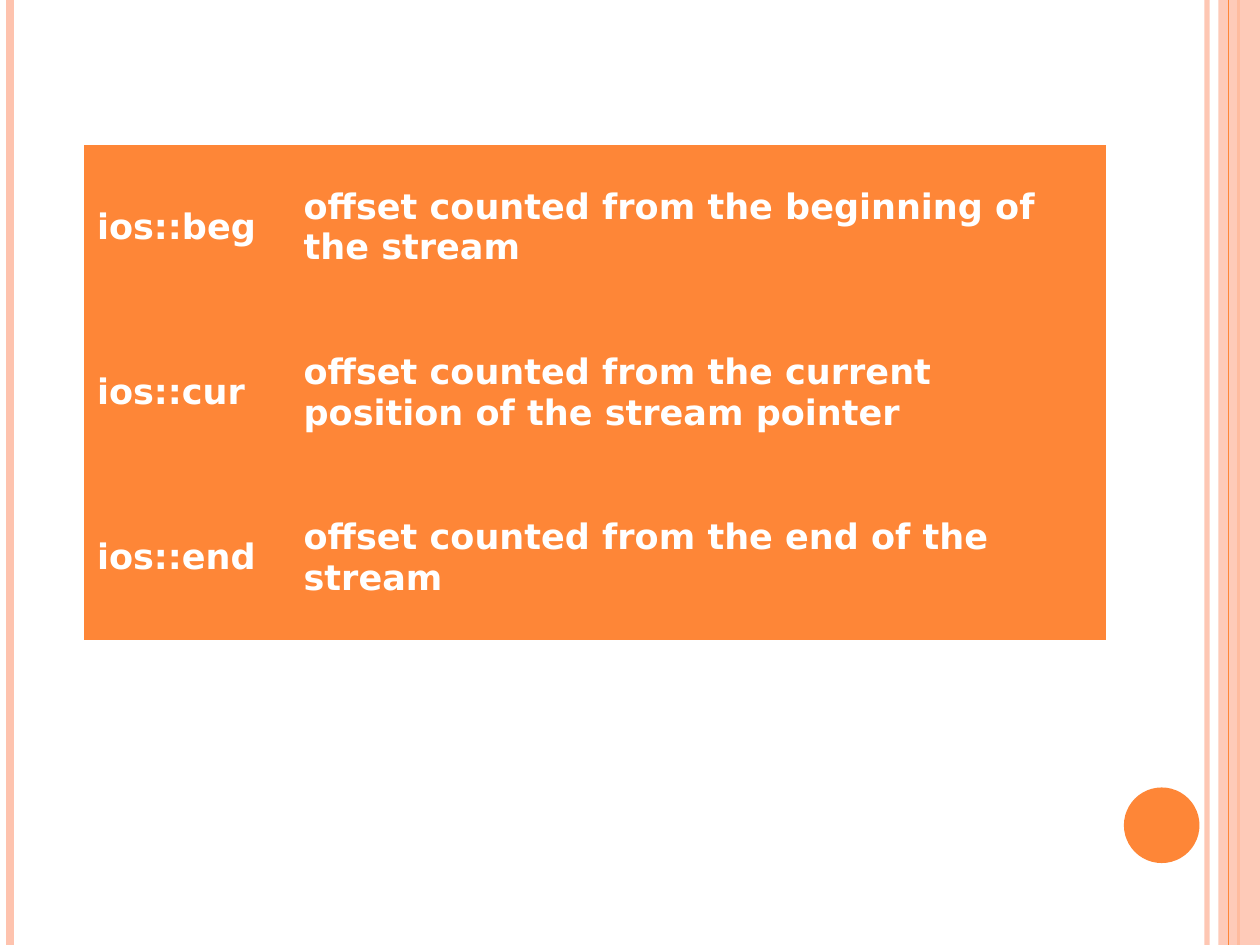
import pptx
import pptx.dml.color
import pptx.enum.shapes
import pptx.enum.text
import pptx.oxml.ns
import pptx.util
from lxml import etree
from pptx.util import Inches

SEEK_ORIGINS = [
    ("ios::beg", "offset counted from the beginning of the stream"),
    ("ios::cur", "offset counted from the current position of the stream pointer"),
    ("ios::end", "offset counted from the end of the stream"),
]
THEME = {"accent": "FE8637", "pale": "FEC3AE", "text": "FFFFFF",
         "font": "DejaVu Sans", "size": 20}
# Vertical rules: x, colour, width in points, opacity in percent
RULES_BEHIND = [(9.58, "pale", 3, 93), (0.08, "pale", 4.5, 100),
                (9.83, "accent", 1.5, 100)]
RULES_IN_FRONT = [(9.75, "accent", 0.75, 100)]
SLIDE_WIDTH, SLIDE_HEIGHT = 10, 7.5
COLUMN_WIDTHS = (1.64, 6.47)
ROW_HEIGHT = 1.31


def color(name):
    """Return a theme colour."""
    return pptx.dml.color.RGBColor.from_string(THEME[name])


def add_child(parent, tag, **attributes):
    """Append a DrawingML element."""
    return etree.SubElement(parent, pptx.oxml.ns.qn(tag), **attributes)


def set_opacity(shape, percent):
    """Make the colour of a shape or line translucent."""
    if percent < 100:
        for paint in shape._element.spPr.iter(pptx.oxml.ns.qn("a:srgbClr")):
            add_child(paint, "a:alpha", val=str(percent * 1000))


def add_rule(slide, x, color_name, width, opacity):
    """Draw a vertical rule over the full slide height."""
    rule = slide.shapes.add_connector(
        pptx.enum.shapes.MSO_CONNECTOR.STRAIGHT,
        Inches(x), 0, Inches(x), Inches(SLIDE_HEIGHT))
    rule.line.color.rgb = color(color_name)
    rule.line.width = pptx.util.Pt(width)
    set_opacity(rule, opacity)
    add_child(rule._element.spPr, "a:effectLst")


def add_block(slide, kind, box, color_name, opacity=100):
    """Draw a filled shape without outline."""
    block = slide.shapes.add_shape(kind, *map(Inches, box))
    block.fill.solid()
    block.fill.fore_color.rgb = color(color_name)
    block.line.fill.background()
    set_opacity(block, opacity)
    block.shadow.inherit = False


def write(frame, text, *, size=THEME["size"], bold=True, color_name="text"):
    """Put formatted text into a text frame."""
    run = frame.paragraphs[0].add_run()
    run.text = text
    run.font.name = THEME["font"]
    run.font.size = pptx.util.Pt(size)
    run.font.bold = bold
    run.font.color.rgb = color(color_name)


def add_origin_table(slide, left, top):
    """Build the table of seek origins with plain, borderless cells."""
    table = slide.shapes.add_table(
        len(SEEK_ORIGINS), len(COLUMN_WIDTHS), Inches(left), Inches(top),
        Inches(sum(COLUMN_WIDTHS)), Inches(ROW_HEIGHT * len(SEEK_ORIGINS))).table
    table.first_row = table.horz_banding = False
    for column, width in zip(table.columns, COLUMN_WIDTHS):
        column.width = Inches(width)
    for row, origin in zip(table.rows, SEEK_ORIGINS):
        row.height = Inches(ROW_HEIGHT)
        for cell, text in zip(row.cells, origin):
            write(cell.text_frame, text)
            cell.vertical_anchor = pptx.enum.text.MSO_ANCHOR.MIDDLE
            properties = cell._tc.get_or_add_tcPr()
            for side in ("a:lnL", "a:lnR", "a:lnT", "a:lnB"):
                add_child(add_child(properties, side, w="0"), "a:noFill")
            cell.fill.solid()
            cell.fill.fore_color.rgb = color("accent")


def main():
    """Build and save the slide."""
    deck = pptx.Presentation()
    deck.slide_width, deck.slide_height = Inches(SLIDE_WIDTH), Inches(SLIDE_HEIGHT)
    slide = deck.slides.add_slide(deck.slide_layouts[6])
    shapes = pptx.enum.shapes.MSO_SHAPE
    for rule in RULES_BEHIND:
        add_rule(slide, *rule)
    add_block(slide, shapes.RECTANGLE, (9.67, 0, 0.33, SLIDE_HEIGHT), "pale", 87)
    for rule in RULES_IN_FRONT:
        add_rule(slide, *rule)
    add_block(slide, shapes.OVAL, (8.92, 6.25, 0.6, 0.6), "accent")
    add_origin_table(slide, 0.67, 1.15)
    deck.save("out.pptx")


main()
